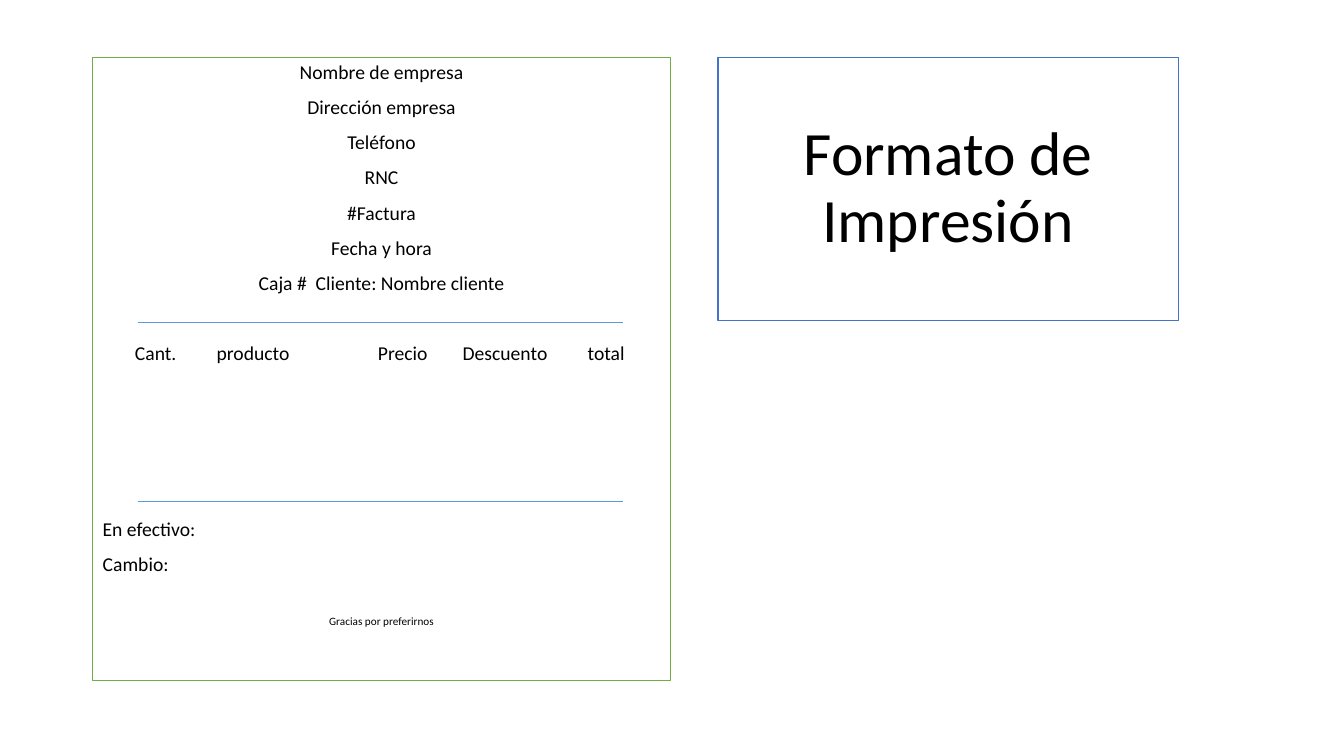
from pptx import Presentation
from pptx.dml.color import RGBColor
from pptx.enum.shapes import MSO_CONNECTOR as Connector, MSO_SHAPE as Preset
from pptx.enum.text import MSO_ANCHOR as Anchor, MSO_AUTO_SIZE as AutoSize, PP_ALIGN as Align
from pptx.oxml.ns import qn
from pptx.util import Inches, Pt
from lxml.etree import SubElement

TITLE = "Formato de Impresión"
HEADER = ["Nombre de empresa", "Dirección empresa", "Teléfono", "RNC", "#Factura",
          "Fecha y hora", "Caja #  Cliente: Nombre cliente"]
COLUMNS = [("Cant.", 0.32), ("producto", 1.13), ("Precio", 2.73),
           ("Descuento", 3.57), ("total", 4.81)]
PAYMENT = ["En efectivo:", "Cambio:"]
THANKS = "Gracias por preferirnos"

RECEIPT_BOX = (0.92, 0.57, 5.73, 6.18)
TITLE_BOX = (7.12, 0.57, 4.57, 2.61)
RULE_LEFT, RULE_RIGHT = 1.37, 6.18
RULE_TOPS = (3.2, 4.97)

THEME = {
    "font": "Calibri", "text": RGBColor(0, 0, 0), "paper": RGBColor(255, 255, 255),
    "receipt": RGBColor(0x70, 0xAD, 0x47), "title": RGBColor(0x44, 0x72, 0xC4),
    "rule": RGBColor(0x5B, 0x9B, 0xD5),
    "body_size": 14, "title_size": 44, "thanks_size": 8,
}
GAP, LINE = 10, 15.1
SMALL_LINE = LINE * THEME["thanks_size"] / THEME["body_size"]


def apply(target, values):
    for name, value in values.items():
        setattr(target, name, value)


def frame(shape, color, anchor):
    shape.fill.solid()
    shape.fill.fore_color.rgb = THEME["paper"]
    shape.line.color.rgb = color
    shape.line.width = Pt(1)
    apply(shape.text_frame, {"word_wrap": True, "auto_size": AutoSize.NONE,
                             "vertical_anchor": anchor})


def write(paragraph, text, size, align=Align.CENTER, before=GAP):
    paragraph.text = text
    apply(paragraph, {"alignment": align, "line_spacing": 0.9, "space_before": Pt(before)})
    for run in paragraph.runs:
        apply(run.font, {"name": THEME["font"], "size": Pt(size)})
        run.font.color.rgb = THEME["text"]


def add_tabs(paragraph, positions):
    tabs = SubElement(paragraph._p.get_or_add_pPr(), qn("a:tabLst"))
    for position in positions:
        SubElement(tabs, qn("a:tab"), pos=str(Inches(position)), algn="l")


def add_receipt(slide):
    receipt = slide.shapes.add_shape(Preset.RECTANGLE, *map(Inches, RECEIPT_BOX))
    receipt.shadow.inherit = False
    frame(receipt, THEME["receipt"], Anchor.TOP)
    column_text = "".join("\t" + name for name, _ in COLUMNS)
    size, pitch = THEME["body_size"], GAP + LINE
    lines = [(text, size, Align.CENTER, GAP) for text in HEADER]
    lines.append((column_text, size, Align.LEFT, GAP + pitch))
    lines += [(text, size, Align.LEFT, GAP + (0 if index else 4 * pitch))
              for index, text in enumerate(PAYMENT)]
    lines.append((THANKS, THEME["thanks_size"], Align.CENTER, 2 * GAP + SMALL_LINE))
    text_frame = receipt.text_frame
    for index, line in enumerate(lines):
        paragraph = text_frame.add_paragraph() if index else text_frame.paragraphs[0]
        write(paragraph, *line)
        if line[0] == column_text:
            add_tabs(paragraph, [position for _, position in COLUMNS])


def add_rule(slide, top):
    rule = slide.shapes.add_connector(
        Connector.STRAIGHT, *map(Inches, (RULE_LEFT, top, RULE_RIGHT, top)))
    rule.line.color.rgb = THEME["rule"]
    rule.line.width = Pt(0.5)
    SubElement(rule._element.spPr, qn("a:effectLst"))


def format_title(slide):
    title = slide.shapes.title
    apply(title, dict(zip(("left", "top", "width", "height"), map(Inches, TITLE_BOX))))
    frame(title, THEME["title"], Anchor.MIDDLE)
    write(title.text_frame.paragraphs[0], TITLE, THEME["title_size"], before=0)


def main():
    presentation = Presentation()
    apply(presentation, {"slide_width": Inches(13.33), "slide_height": Inches(7.5)})
    slide = presentation.slides.add_slide(presentation.slide_layouts[5])
    add_receipt(slide)
    for top in RULE_TOPS:
        add_rule(slide, top)
    format_title(slide)
    presentation.save("out.pptx")


if __name__ == "__main__":
    main()
